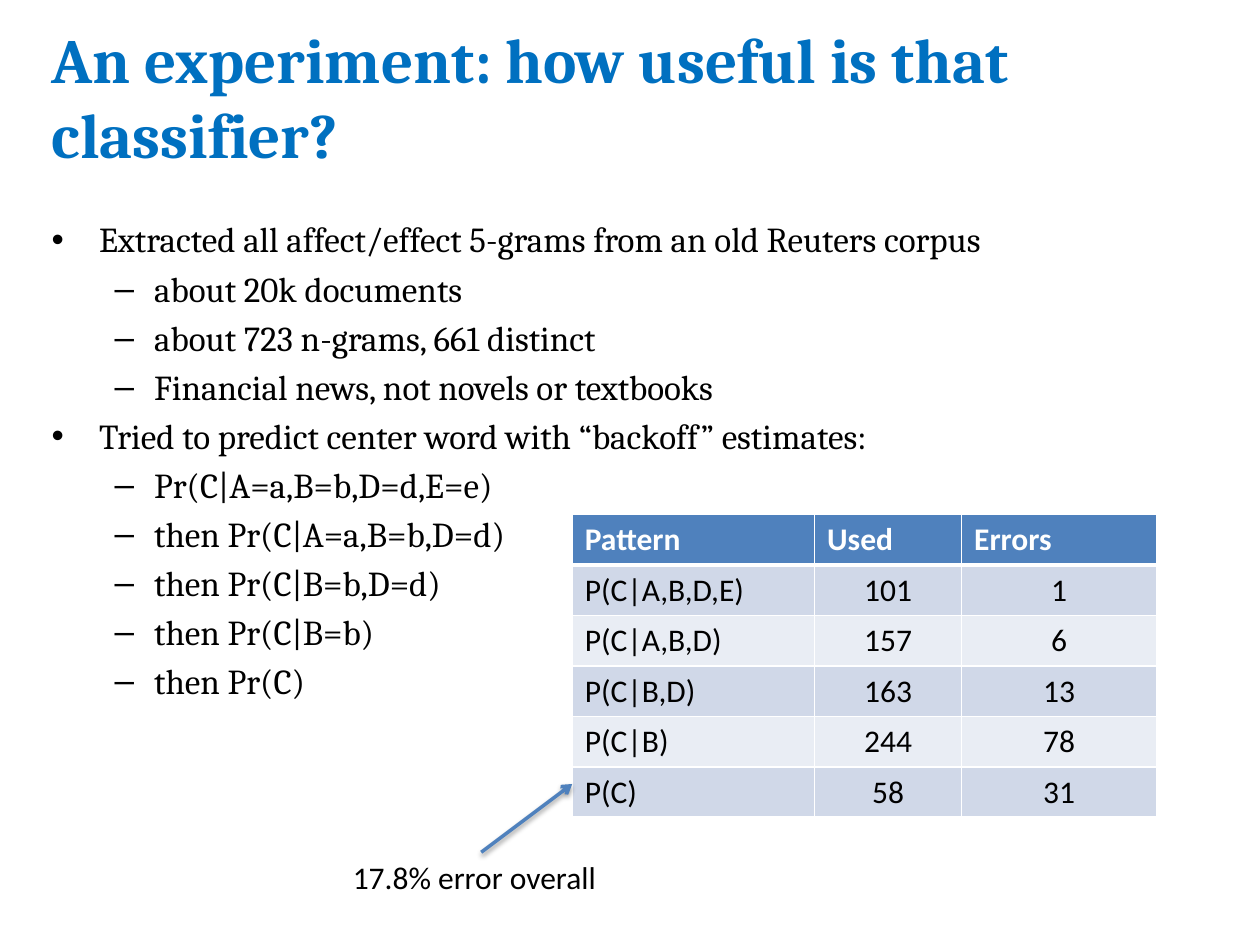
from dataclasses import dataclass

from lxml.etree import SubElement
from pptx import Presentation
from pptx.dml.color import RGBColor
from pptx.enum.shapes import MSO_CONNECTOR
from pptx.enum.text import MSO_ANCHOR, PP_ALIGN
from pptx.oxml.ns import qn
from pptx.slide import Slide
from pptx.util import Pt

BULLETS = [
    (0, "Extracted all affect/effect 5-grams from an old Reuters corpus"),
    (1, "about 20k documents"),
    (1, "about 723 n-grams, 661 distinct"),
    (1, "Financial news, not novels or textbooks"),
    (0, "Tried to predict center word with “backoff” estimates:"),
    (1, "Pr(C|A=a,B=b,D=d,E=e)"),
    (1, "then Pr(C|A=a,B=b,D=d)"),
    (1, "then Pr(C|B=b,D=d)"),
    (1, "then Pr(C|B=b)"),
    (1, "then Pr(C)"),
]
BULLET_LEVELS = [("•", 27, -27), ("–", 58.5, -22.5)]
RESULTS = [
    ("Pattern", "Used", "Errors"),
    ("P(C|A,B,D,E)", "101", "1"),
    ("P(C|A,B,D)", "157", "6"),
    ("P(C|B,D)", "163", "13"),
    ("P(C|B)", "244", "78"),
    ("P(C)", "58", "31"),
]


def rgb(code):
    return RGBColor.from_string(code)


@dataclass
class SlideBuilder:
    """Hold the style and the slide, and add each kind of element."""

    slide: Slide
    serif: str = "Cambria"
    sans: str = "Calibri"
    title_color: str = "0070C0"
    accent: str = "4F81BD"
    bands: tuple = ("E9EDF4", "D0D8E8")
    black: str = "000000"
    white: str = "FFFFFF"

    def style(self, paragraph, font, size, color, bold=False):
        for run in paragraph.runs:
            run.font.name = font
            run.font.size = Pt(size)
            run.font.bold = bold
            run.font.color.rgb = rgb(color)

    def text_box(self, left, top, width, height, wrap=True):
        shape = self.slide.shapes.add_textbox(Pt(left), Pt(top), Pt(width), Pt(height))
        shape.text_frame.word_wrap = wrap
        return shape.text_frame

    def title(self, text, *box):
        text_frame = self.text_box(*box)
        text_frame.vertical_anchor = MSO_ANCHOR.MIDDLE
        text_frame.text = text
        self.style(text_frame.paragraphs[0], self.serif, 36, self.title_color, True)

    def label(self, text, *box):
        text_frame = self.text_box(*box, wrap=False)
        text_frame.text = text
        self.style(text_frame.paragraphs[0], self.sans, 18, self.black)

    def bullets(self, items, *box):
        text_frame = self.text_box(*box)
        text_frame.text = "\n".join(text for _, text in items)
        for index, (level, _) in enumerate(items):
            paragraph = text_frame.paragraphs[index]
            character, margin, indent = BULLET_LEVELS[level]
            paragraph.level = level
            paragraph.space_before = Pt(4 if index else 0)
            properties = paragraph._p.get_or_add_pPr()
            properties.set("marL", str(Pt(margin)))
            properties.set("indent", str(Pt(indent)))
            SubElement(properties, qn("a:buFont"), typeface="Arial")
            SubElement(properties, qn("a:buChar"), char=character)
            self.style(paragraph, self.serif, 20, self.black)

    def border(self, cell, side, width):
        line = SubElement(cell._tc.get_or_add_tcPr(), qn(f"a:ln{side}"), w=str(Pt(width)))
        fill = SubElement(line, qn("a:solidFill"))
        SubElement(fill, qn("a:srgbClr"), val=self.white)

    def table(self, rows, column_widths, left, top, row_height):
        table = self.slide.shapes.add_table(
            len(rows), len(column_widths), Pt(left), Pt(top),
            Pt(sum(column_widths)), Pt(row_height * len(rows))).table
        for column, width in zip(table.columns, column_widths):
            column.width = Pt(width)
        for row_index, values in enumerate(rows):
            header = row_index == 0
            for column_index, value in enumerate(values):
                cell = table.cell(row_index, column_index)
                cell.text = value
                paragraph = cell.text_frame.paragraphs[0]
                if column_index and not header:
                    paragraph.alignment = PP_ALIGN.CENTER
                color = self.white if header else self.black
                self.style(paragraph, self.sans, 18, color, header)
                for side in "LRTB":
                    thick = (row_index, side) in ((0, "B"), (1, "T"))
                    self.border(cell, side, 3 if thick else 1)
                cell.fill.solid()
                cell.fill.fore_color.rgb = rgb(self.accent if header else self.bands[row_index % 2])

    def arrow(self, *ends):
        connector = self.slide.shapes.add_connector(
            MSO_CONNECTOR.STRAIGHT, *(Pt(value) for value in ends))
        connector.line.color.rgb = rgb(self.accent)
        connector.line.width = Pt(2)
        SubElement(connector.line._get_or_add_ln(), qn("a:tailEnd"), type="arrow")
        effects = SubElement(connector._element.spPr, qn("a:effectLst"))
        shadow = SubElement(effects, qn("a:outerShdw"), blurRad=str(Pt(3.1)),
                            dist=str(Pt(1.6)), dir="5400000", rotWithShape="0")
        color = SubElement(shadow, qn("a:srgbClr"), val=self.black)
        SubElement(color, qn("a:alpha"), val="38000")


def main():
    presentation = Presentation()
    presentation.slide_width, presentation.slide_height = Pt(720), Pt(540)
    builder = SlideBuilder(presentation.slides.add_slide(presentation.slide_layouts[6]))
    builder.title("An experiment: how useful is that classifier?", 22.5, 23, 681, 63.5)
    builder.bullets(BULLETS, 22.5, 121, 681, 366.5)
    builder.table(RESULTS, (138.5, 84, 111.5), 327, 294, 28.8)
    builder.arrow(275, 487, 327, 448)
    builder.label("17.8% error overall", 194.5, 487, 155, 29)
    presentation.save("out.pptx")


if __name__ == "__main__":
    main()
